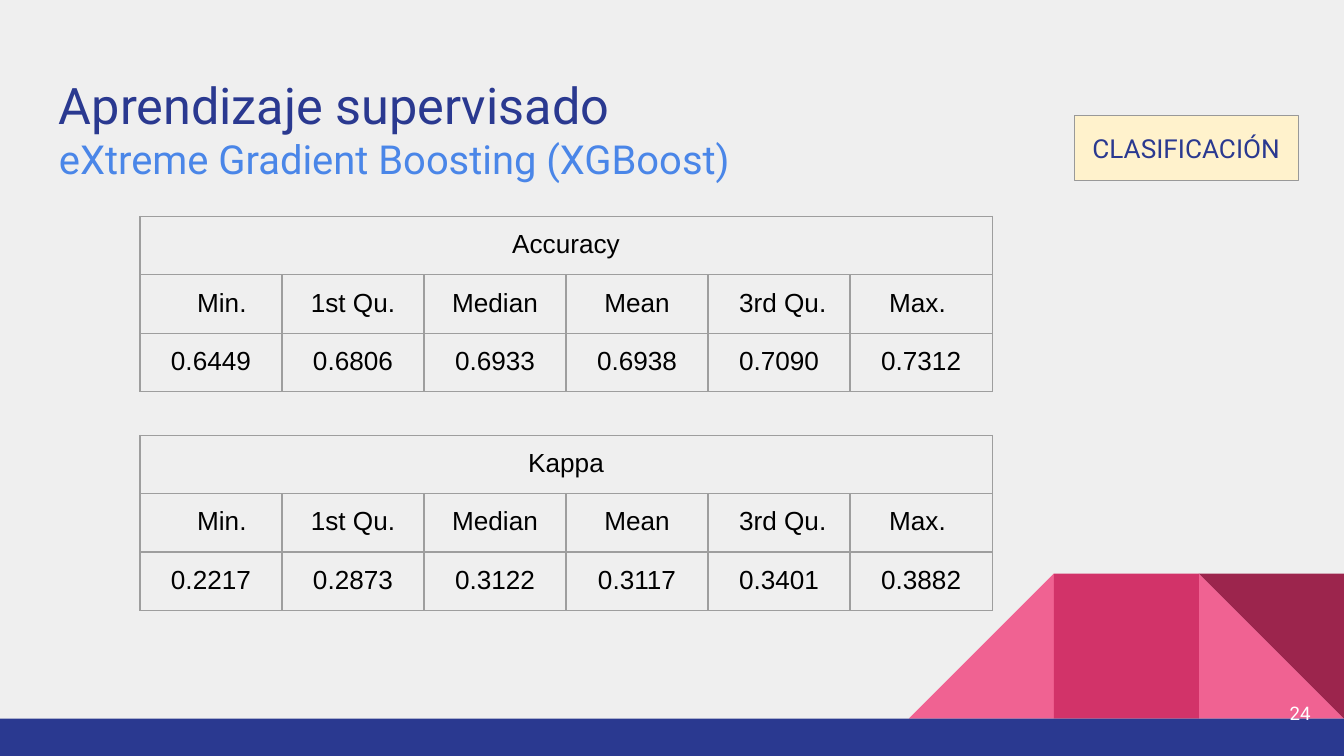
import pptx
import pptx.dml.color
import pptx.enum.shapes
import pptx.enum.text
import pptx.oxml
import pptx.oxml.ns
import pptx.util

Pt = pptx.util.Pt
SHAPES = pptx.enum.shapes.MSO_SHAPE
ALIGN = pptx.enum.text.PP_ALIGN
ANCHOR = pptx.enum.text.MSO_ANCHOR

NAVY = "2A3990"
PINK = "F06292"
BORDER = "9E9E9E"
INSET = 7.2

TITLE = "Aprendizaje supervisado"
SUBTITLE = "eXtreme Gradient Boosting (XGBoost)"
TAG = "CLASIFICACIÓN"
PAGE_NUMBER = "24"

# Heading, extra left margin, extra right margin
STATISTICS = [
    ("Min.", 11.7, 0),
    ("1st Qu.", 0, 0),
    ("Median", 0, 0),
    ("Mean", 0, 0),
    ("3rd Qu.", 3.9, 0),
    ("Max.", 0, 3.9),
]
TABLES = [
    ("Accuracy", 116, ["0.6449", "0.6806", "0.6933", "0.6938", "0.7090", "0.7312"]),
    ("Kappa", 233.3, ["0.2217", "0.2873", "0.3122", "0.3117", "0.3401", "0.3882"]),
]
TABLE_LEFT, COLUMN_WIDTH, ROW_HEIGHT = 75, 76.1, 31.1

# Decoration: square tiles standing on the bottom band
TILE = 77.7
BAND_TOP = 385
# Preset, steps from the right edge, colour, rotation, mirrored
TILES = [
    (SHAPES.RIGHT_TRIANGLE, 1, PINK, 0, False),
    (SHAPES.RIGHT_TRIANGLE, 3, PINK, 0, True),
    (SHAPES.RECTANGLE, 2, "D23369", 0, False),
    (SHAPES.RIGHT_TRIANGLE, 1, "9C254D", 180, False),
]


def color(value):
    return pptx.dml.color.RGBColor.from_string(value)


def box(left, top, width, height):
    return Pt(left), Pt(top), Pt(width), Pt(height)


def write(paragraph, text, size=14, font="Roboto", fill=NAVY, align=ALIGN.LEFT):
    paragraph.alignment = align
    run = paragraph.add_run()
    run.text = text
    run.font.size = Pt(size)
    run.font.name = font
    run.font.color.rgb = color(fill)


def set_margins(target, left=INSET, right=INSET):
    """Set the insets of a text frame or a table cell."""
    target.margin_left, target.margin_right = Pt(left), Pt(right)
    target.margin_top = target.margin_bottom = Pt(INSET)


def add_shape(slide, preset, bounds, fill, line=None):
    shape = slide.shapes.add_shape(preset, *box(*bounds))
    shape.shadow.inherit = False
    shape.fill.solid()
    shape.fill.fore_color.rgb = color(fill)
    if line:
        shape.line.color.rgb = color(line)
        shape.line.width = Pt(0.75)
    else:
        shape.line.fill.background()
    return shape


def add_text_box(slide, bounds, anchor=ANCHOR.TOP):
    frame = slide.shapes.add_textbox(*box(*bounds)).text_frame
    frame.word_wrap = True
    frame.vertical_anchor = anchor
    set_margins(frame)
    return frame


def add_borders(cell):
    properties = cell._tc.get_or_add_tcPr()
    for index, side in enumerate(("lnL", "lnR", "lnT", "lnB")):
        line = pptx.oxml.parse_xml(
            f'<a:{side} {pptx.oxml.ns.nsdecls("a")} w="{Pt(0.75)}"><a:solidFill>'
            f'<a:srgbClr val="{BORDER}"/></a:solidFill></a:{side}>'
        )
        properties.insert(index, line)


def add_statistics_table(slide, heading, top, values):
    count = len(STATISTICS)
    bounds = box(TABLE_LEFT, top, COLUMN_WIDTH * count, ROW_HEIGHT * 3)
    table = slide.shapes.add_table(3, count, *bounds).table
    table.first_row = table.horz_banding = False
    for column in table.columns:
        column.width = Pt(COLUMN_WIDTH)
    for row in table.rows:
        row.height = Pt(ROW_HEIGHT)
    for cell in table.iter_cells():
        cell.fill.background()
        set_margins(cell)
        add_borders(cell)
    table.cell(0, 0).merge(table.cell(0, count - 1))

    style = {"font": "Arial", "fill": "000000", "align": ALIGN.CENTER}
    write(table.cell(0, 0).text_frame.paragraphs[0], heading, **style)
    for index, ((name, left, right), value) in enumerate(zip(STATISTICS, values)):
        name_cell = table.cell(1, index)
        set_margins(name_cell, INSET + left, INSET + right)
        write(name_cell.text_frame.paragraphs[0], name, **style)
        write(table.cell(2, index).text_frame.paragraphs[0], value, **style)


def main():
    presentation = pptx.Presentation()
    presentation.slide_width, presentation.slide_height = Pt(720), Pt(405)
    slide = presentation.slides.add_slide(presentation.slide_layouts[6])
    slide.background.fill.solid()
    slide.background.fill.fore_color.rgb = color("EFEFEF")

    for preset, steps, fill, rotation, mirrored in TILES:
        bounds = (720 - steps * TILE, BAND_TOP - TILE, TILE, TILE)
        tile = add_shape(slide, preset, bounds, fill)
        tile.rotation = rotation
        if mirrored:
            tile._element.spPr.xfrm.set("flipH", "1")
    add_shape(slide, SHAPES.RECTANGLE, (0, BAND_TOP, 720, 405 - BAND_TOP), NAVY)

    title = add_text_box(slide, (24.5, 32.4, 671, 47.5))
    write(title.paragraphs[0], TITLE, size=27)
    write(title.add_paragraph(), SUBTITLE, size=21.4, fill="4A86E8")

    tag = add_shape(slide, SHAPES.ROUNDED_RECTANGLE, (575.5, 61.8, 120, 35),
                    "FFF2CC", line="999999")
    tag.adjustments[0] = 0
    set_margins(tag.text_frame)
    tag.text_frame.vertical_anchor = ANCHOR.MIDDLE
    write(tag.text_frame.paragraphs[0], TAG, align=ALIGN.CENTER)

    for heading, top, values in TABLES:
        add_statistics_table(slide, heading, top, values)

    number = add_text_box(slide, (666, 366.5, 43.2, 31), anchor=ANCHOR.MIDDLE)
    write(number.paragraphs[0], PAGE_NUMBER, size=10, fill="FFFFFF", align=ALIGN.RIGHT)

    presentation.save("out.pptx")


if __name__ == "__main__":
    main()
